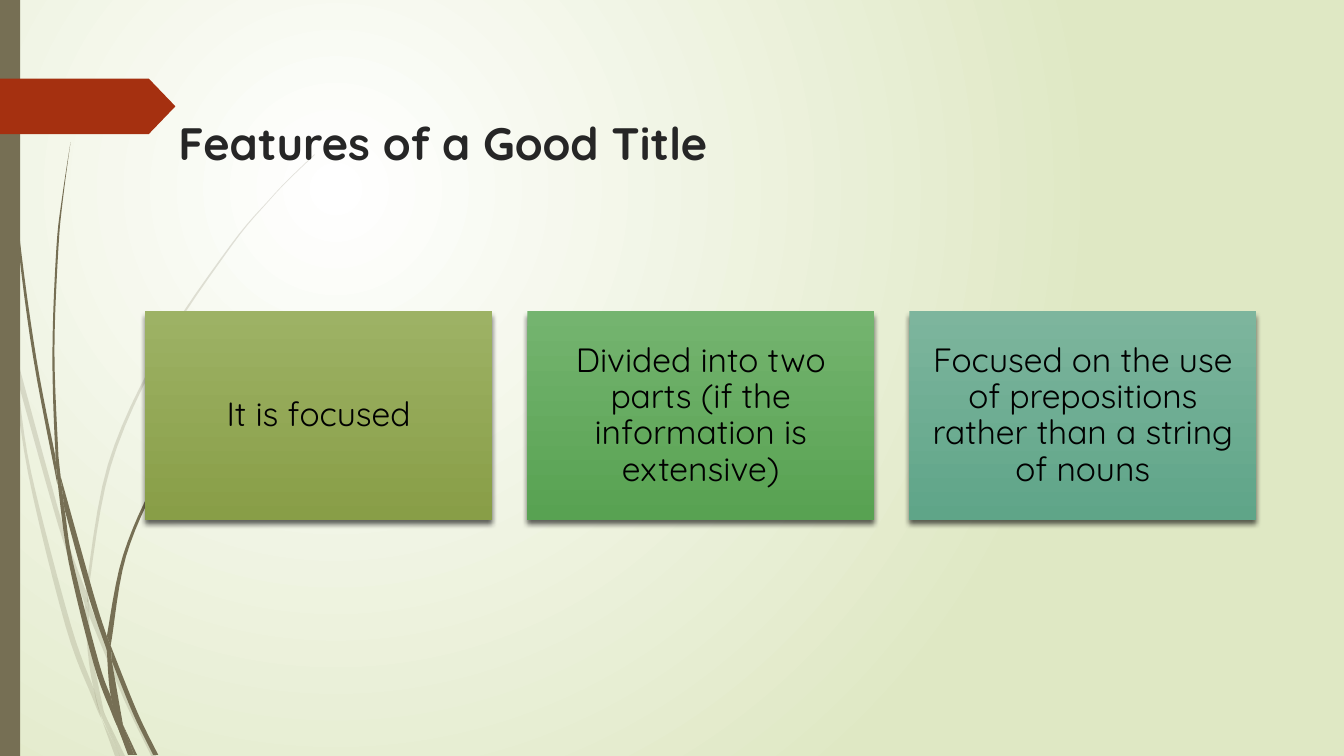
from dataclasses import dataclass

from lxml import etree
from pptx import Presentation
from pptx.dml.color import RGBColor
from pptx.enum.shapes import MSO_SHAPE
from pptx.enum.text import MSO_ANCHOR, PP_ALIGN
from pptx.oxml.ns import qn
from pptx.util import Inches, Pt

RECT, ARROW = MSO_SHAPE.RECTANGLE, MSO_SHAPE.PENTAGON
MIDDLE = MSO_ANCHOR.MIDDLE
LEFT, CENTER = PP_ALIGN.LEFT, PP_ALIGN.CENTER


@dataclass(frozen=True)
class Theme:
    font: str = "Quicksand"
    head: float = 32.4
    body: float = 24
    ink: str = "262626"
    black: str = "000000"
    stem: str = "766F54"
    tag: str = "A53010"
    back: tuple = ("FFFFFF", "DFE8C4")


THEME = Theme()

CARDS = [
    ("It is focused", ("9DB265", "889E47")),
    ("Divided into two parts (if the information is extensive)", ("74B46F", "58A252")),
    ("Focused on the use of prepositions rather than a string of nouns", ("7DB59D", "5FA588")),
]

# Each blade of grass has two sides, and each side runs through its points
PALE = [
    ([(.11, 3.5), (.09, 3.22), (0, 2.82)], [(0, 2.99), (.1, 3.44)]),
    ([(.17, 3.76), (.58, 5.22), (.84, 5.99)], [(.85, 5.86), (.62, 5.2), (.14, 3.45)]),
    ([(.88, 6.1), (1.23, 6.94), (1.5, 7.5)],
     [(1.55, 7.5), (1.27, 6.92), (.92, 6.07), (.88, 5.96)]),
    ([(1.05, 7.11), (1.19, 7.5)], [(1.24, 7.5), (1.05, 7.11)]),
    ([(.11, 3.5), (.28, 4.7), (.65, 6.21), (.92, 6.93), (1.01, 7.14)],
     [(.93, 6.83), (.7, 6.19), (.31, 4.69), (.17, 3.76), (.11, 3.5)]),
    ([(.84, 5.99), (.87, 6.46), (.93, 6.83), (1.05, 7.11)],
     [(1.03, 7.06), (.91, 6.46), (.88, 6.1), (.84, 5.99)]),
    ([(3.12, 1.53), (2.89, 1.75), (2.68, 1.97), (2.28, 2.44), (1.58, 3.48), (1.07, 4.61),
      (.85, 5.86)],
     [(.88, 5.96), (.88, 5.84), (1.1, 4.62), (1.6, 3.49), (2.29, 2.45), (2.68, 1.98),
      (2.9, 1.75), (3.12, 1.54)]),
    ([(1.01, 7.14), (1.14, 7.5)], [(1.19, 7.5), (1.01, 7.14)]),
    ([(.88, 6.1), (.88, 5.96), (.85, 5.86)], [(.84, 5.99), (.88, 6.08)]),
    ([(.93, 6.83), (.99, 7.07), (1.19, 7.5)], [(1.05, 7.11), (.96, 6.92)]),
]
DARK = [
    ([(.03, 0), (.04, .48), (.07, 1.1), (.17, 2.33), (.33, 3.55), (.57, 4.81)],
     [(.55, 4.53), (.36, 3.55), (.19, 2.32), (.08, 1.09), (.05, .48), (.04, 0)]),
    ([(.64, 5.05), (.88, 5.92), (1.06, 6.45)], [(1.06, 6.31), (.93, 5.9), (.6, 4.72)]),
    ([(1.11, 6.56), (1.32, 7.08), (1.52, 7.49)], [(1.57, 7.49), (1.36, 7.06), (1.1, 6.41)]),
    ([(.57, 4.77), (.68, 5.57), (.93, 6.59), (1.11, 7.08), (1.17, 7.22)],
     [(1.1, 6.91), (.98, 6.57), (.72, 5.56), (.64, 5.05), (.57, 4.77)]),
    ([(.7, 1.41), (.62, 1.93), (.56, 2.45), (.52, 3.49), (.55, 4.49), (.6, 4.72)],
     [(.58, 4.53), (.54, 3.49), (.58, 2.45), (.63, 1.93), (.7, 1.41)]),
    ([(1.22, 7.19), (1.33, 7.49)], [(1.36, 7.49), (1.22, 7.19)]),
    ([(.55, 4.49), (.57, 4.77), (.64, 5.05)], [(.6, 4.72), (.55, 4.49)]),
    ([(2.6, 3.44), (2.31, 3.73), (2.04, 4.05), (1.56, 4.74), (1.22, 5.51), (1.06, 6.31)],
     [(1.1, 6.41), (1.11, 6.33), (1.25, 5.52), (1.58, 4.76), (2.05, 4.06), (2.31, 3.74),
      (2.61, 3.44)]),
    ([(1.17, 7.22), (1.27, 7.49)], [(1.31, 7.49), (1.17, 7.22)]),
    ([(1.06, 6.45), (1.1, 6.91), (1.22, 7.19)], [(1.11, 6.56), (1.06, 6.45)]),
    ([(1.06, 6.31), (1.06, 6.45), (1.11, 6.56)], [(1.1, 6.41), (1.06, 6.31)]),
    ([(1.1, 6.91), (1.17, 7.22), (1.3, 7.49)], [(1.33, 7.49), (1.22, 7.19), (1.1, 6.91)]),
]


def rgb(code):
    return RGBColor.from_string(code)


def blend(fill, pair):
    fill.gradient()
    for stop, code in zip(fill.gradient_stops, pair):
        stop.color.rgb = rgb(code)


def add_alpha(color, share):
    etree.SubElement(color, qn("a:alpha"), val=str(share * 1000))


def paint_back(slide):
    blend(slide.background.fill, THEME.back)
    grad = slide.element.find(".//" + qn("a:gradFill"))
    grad.remove(grad.find(qn("a:lin")))
    glow = etree.SubElement(grad, qn("a:path"), {"path": "circle"})
    etree.SubElement(glow, qn("a:fillToRect"), l="50000", t="50000", r="100000", b="100000")


def smooth(side, steps=6):
    """Return points on a Catmull-Rom curve through the side."""
    ends = [side[0], *side, side[-1]]
    curve = [side[0]]
    for a, b, c, d in zip(ends, ends[1:], ends[2:], ends[3:]):
        for step in range(1, steps + 1):
            t = step / steps
            curve.append(tuple(
                q + t / 2 * (r - p + t * (2 * p - 5 * q + 4 * r - s + t * (3 * (q - r) + s - p)))
                for p, q, r, s in zip(a, b, c, d)))
    return curve


def plain(shape, code):
    shape.shadow.inherit = False
    shape.fill.solid()
    shape.fill.fore_color.rgb = rgb(code)
    shape.line.fill.background()


def add_blade(slide, sides, alpha=None):
    dots = [(Inches(x), Inches(y)) for side in sides for x, y in smooth(side)]
    pen = slide.shapes.build_freeform(*dots[0])
    pen.add_line_segments(dots[1:], close=True)
    blade = pen.convert_to_shape()
    plain(blade, THEME.stem)
    if alpha:
        add_alpha(blade.element.spPr.find(".//" + qn("a:srgbClr")), alpha)


def add_block(slide, kind, box, code):
    block = slide.shapes.add_shape(kind, *map(Inches, box))
    plain(block, code)
    return block


def set_text(shape, words, size, code, align, bold=False):
    frame = shape.text_frame
    frame.text = words
    frame.word_wrap = True
    frame.vertical_anchor = MIDDLE
    frame.margin_left = frame.margin_right = Inches(0.1)
    para = frame.paragraphs[0]
    para.alignment = align
    para.line_spacing = 0.9
    font = para.runs[0].font
    font.name, font.size, font.bold = THEME.font, Pt(size), bold
    font.color.rgb = rgb(code)


def add_card(slide, left, words, pair):
    card = add_block(slide, RECT, (left, 3.09, 3.44, 2.07), pair[0])
    blend(card.fill, pair)
    card.fill.gradient_angle = 270
    effects = card.element.spPr.find(qn("a:effectLst"))
    shade = etree.SubElement(effects, qn("a:outerShdw"), blurRad=str(Pt(4)), dist=str(Pt(3)),
                             dir="5400000", algn="ctr", rotWithShape="0")
    add_alpha(etree.SubElement(shade, qn("a:srgbClr"), val=THEME.black), 60)
    set_text(card, words, THEME.body, THEME.black, CENTER)


def add_title(slide, words):
    title = slide.shapes.title
    title.left, title.top, title.width, title.height = map(Inches, (1.67, 1.11, 9.75, 0.67))
    set_text(title, words, THEME.head, THEME.ink, LEFT, bold=True)
    # Bring the title in front of the grass
    title.element.getparent().append(title.element)


def main():
    deck = Presentation()
    deck.slide_width, deck.slide_height = Inches(13.33), Inches(7.5)
    slide = deck.slides.add_slide(deck.slide_layouts[5])

    # Backdrop, grass, side bar and red tag
    paint_back(slide)
    for sides in PALE:
        add_blade(slide, sides, alpha=20)
    for sides in DARK:
        add_blade(slide, sides)
    add_block(slide, RECT, (0, 0, 0.2, 7.5), THEME.stem)
    tag = add_block(slide, ARROW, (0, 0.78, 1.74, 0.55), THEME.tag)
    tag.adjustments[0] = 0.48

    # Title and the row of cards
    add_title(slide, "Features of a Good Title")
    for index, (words, pair) in enumerate(CARDS):
        add_card(slide, 1.44 + index * 3.79, words, pair)

    deck.save("out.pptx")


main()
